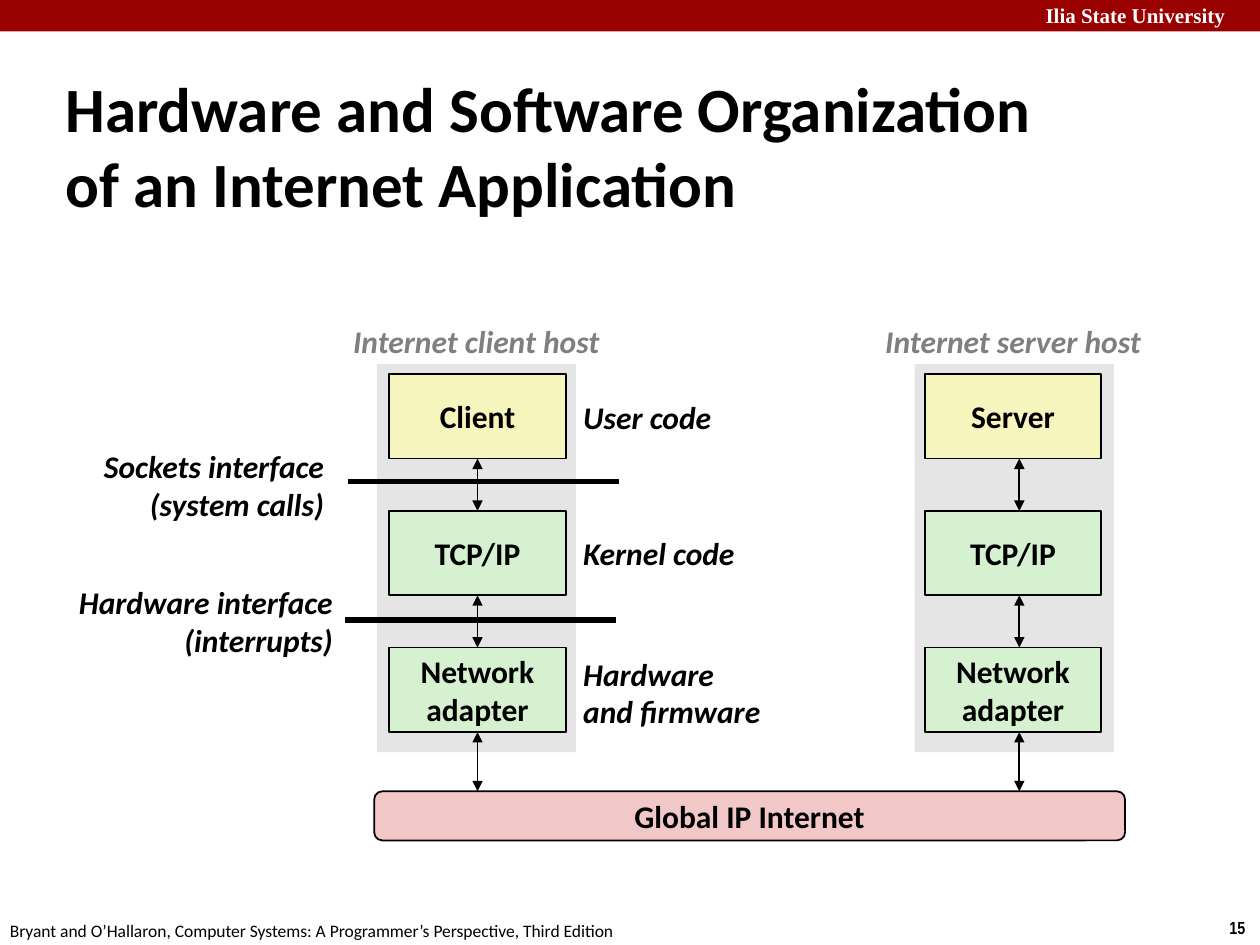
"""Build the slide on the hardware and software organization of an Internet application."""
from dataclasses import dataclass

from lxml import etree
from pptx import Presentation
from pptx.dml.color import RGBColor
from pptx.enum.shapes import MSO_CONNECTOR, MSO_SHAPE
from pptx.enum.text import MSO_ANCHOR, MSO_AUTO_SIZE, PP_ALIGN
from pptx.oxml.ns import qn
from pptx.util import Inches, Pt

RECT, ROUNDED = MSO_SHAPE.RECTANGLE, MSO_SHAPE.ROUNDED_RECTANGLE
STRAIGHT = MSO_CONNECTOR.STRAIGHT
LEFT, CENTER, RIGHT = PP_ALIGN.LEFT, PP_ALIGN.CENTER, PP_ALIGN.RIGHT
MIDDLE, TOP = MSO_ANCHOR.MIDDLE, MSO_ANCHOR.TOP
NO_AUTOFIT = MSO_AUTO_SIZE.NONE
SIDE_TOP, SIDE_BOTTOM = 0, 2


@dataclass(frozen=True)
class Theme:
    ink: str = "000000"
    paper: str = "FFFFFF"
    banner: str = "990000"
    host: str = "E5E5E5"
    host_label: str = "7F7F7F"
    user: str = "F6F5BD"
    system: str = "D5F1CF"
    network: str = "F1C7C7"
    font: str = "Calibri"
    banner_font: str = "Times New Roman"
    number_font: str = "Arial Narrow"
    title_size: int = 36
    body_size: int = 18
    banner_size: int = 12
    footer_size: int = 10
    thin: int = 1
    thick: int = 3


class Diagram:
    def __init__(self, slide, theme):
        self.slide = slide
        self.theme = theme

    def set_text(self, frame, text, align=LEFT, anchor=MIDDLE, size=None,
                 font=None, color=None, bold=True, italic=False):
        theme = self.theme
        frame.text = text
        frame.word_wrap = True
        frame.auto_size = NO_AUTOFIT
        frame.vertical_anchor = anchor
        for paragraph in frame.paragraphs:
            paragraph.alignment = align
            for run in paragraph.runs:
                run.font.size = Pt(size or theme.body_size)
                run.font.name = font or theme.font
                run.font.color.rgb = RGBColor.from_string(color or theme.ink)
                run.font.bold = bold
                run.font.italic = italic

    def title(self, text, left, top, width, height):
        title = self.slide.shapes.title
        title.left, title.top = Inches(left), Inches(top)
        title.width, title.height = Inches(width), Inches(height)
        self.set_text(title.text_frame, text, size=self.theme.title_size)

    def label(self, text, left, top, width, height, **style):
        box = self.slide.shapes.add_textbox(
            Inches(left), Inches(top), Inches(width), Inches(height))
        self.set_text(box.text_frame, text, **style)

    def block(self, fill, left, top, width, height, text="", kind=RECT):
        block = self.slide.shapes.add_shape(
            kind, Inches(left), Inches(top), Inches(width), Inches(height))
        block.shadow.inherit = False
        block.fill.solid()
        block.fill.fore_color.rgb = RGBColor.from_string(fill)
        if text:
            block.line.color.rgb = RGBColor.from_string(self.theme.ink)
            block.line.width = Pt(self.theme.thin)
            self.set_text(block.text_frame, text, align=CENTER)
        else:
            block.line.fill.background()
        return block

    def line(self, x1, y1, x2, y2, width):
        line = self.slide.shapes.add_connector(
            STRAIGHT, Inches(x1), Inches(y1), Inches(x2), Inches(y2))
        line.line.color.rgb = RGBColor.from_string(self.theme.ink)
        line.line.width = Pt(width)
        etree.SubElement(line._element.spPr, qn("a:effectLst"))
        return line

    def double_arrow(self, x1, y1, x2, y2):
        arrow = self.line(x1, y1, x2, y2, self.theme.thin)
        outline = arrow._element.spPr.find(qn("a:ln"))
        for end in ("a:headEnd", "a:tailEnd"):
            etree.SubElement(outline, qn(end), type="triangle")
        return arrow


def main():
    theme = Theme()
    deck = Presentation()
    deck.slide_width, deck.slide_height = Inches(10), Inches(7.5)
    diagram = Diagram(deck.slides.add_slide(deck.slide_layouts[5]), theme)

    diagram.block(theme.banner, 0, 0, 10, 0.25)
    diagram.label("Ilia State University", 8.2, -0.03, 1.87, 0.3, anchor=TOP,
                  size=theme.banner_size, font=theme.banner_font, color=theme.paper)
    diagram.label("15", 9.66, 7.23, 0.4, 0.27, anchor=TOP,
                  size=theme.footer_size, font=theme.number_font)
    diagram.label("Bryant and O’Hallaron, Computer Systems: A Programmer’s Perspective, "
                  "Third Edition", -0.02, 7.25, 5.2, 0.27, anchor=TOP,
                  size=theme.footer_size, bold=False)
    diagram.title("Hardware and Software Organization\vof an Internet Application",
                  0.42, 0.55, 8.89, 1.2)

    layer_width, layer_height, layer_top, layer_step = 1.4, 0.67, 2.97, 1.085
    tops = [layer_top + layer_step * row for row in range(3)]
    internet_top = 6.28
    diagram.block(theme.network, 2.97, internet_top, 5.96, 0.39,
                  "Global IP Internet", ROUNDED)

    hosts = [
        ("Client", "Internet client host", 2.99, 3.09, 3.79, 3.78, True),
        ("Server", "Internet server host", 7.26, 7.34, 8.09, 8.04, False),
    ]
    for program, host_label, host_left, layer_left, arrow_x, label_x, joined in hosts:
        diagram.block(theme.host, host_left, 2.89, 1.58, 3.08)
        diagram.label(host_label, label_x - 1.2, 2.51, 2.4, 0.4, align=CENTER,
                      color=theme.host_label, italic=True)
        layers = [
            diagram.block(fill, layer_left, top, layer_width, layer_height, text)
            for top, fill, text in zip(
                tops, (theme.user, theme.system, theme.system),
                (program, "TCP/IP", "Network\nadapter"))
        ]
        for row, top in enumerate(tops):
            end = (tops + [internet_top])[row + 1]
            arrow = diagram.double_arrow(arrow_x, top + layer_height, arrow_x, end)
            if joined:
                arrow.begin_connect(layers[row], SIDE_BOTTOM)
                if row + 1 < len(layers):
                    arrow.end_connect(layers[row + 1], SIDE_TOP)

    interfaces = [
        ("Sockets interface\n(system calls)", 2.67, 3.49, 2.76, 3.82),
        ("Hardware interface\n(interrupts)", 2.74, 4.57, 2.74, 4.92),
    ]
    for text, right, top, line_left, line_y in interfaces:
        diagram.label(text, right - 2.4, top, 2.4, 0.71, align=RIGHT, italic=True)
        diagram.line(line_left, line_y, line_left + 2.15, line_y, theme.thick)

    levels = [
        ("User code", 3.11, 0.4),
        ("Kernel code", 4.19, 0.4),
        ("Hardware\nand firmware", 5.14, 0.71),
    ]
    for text, top, height in levels:
        diagram.label(text, 4.53, top, 1.75, height, italic=True)

    deck.save("out.pptx")


if __name__ == "__main__":
    main()
